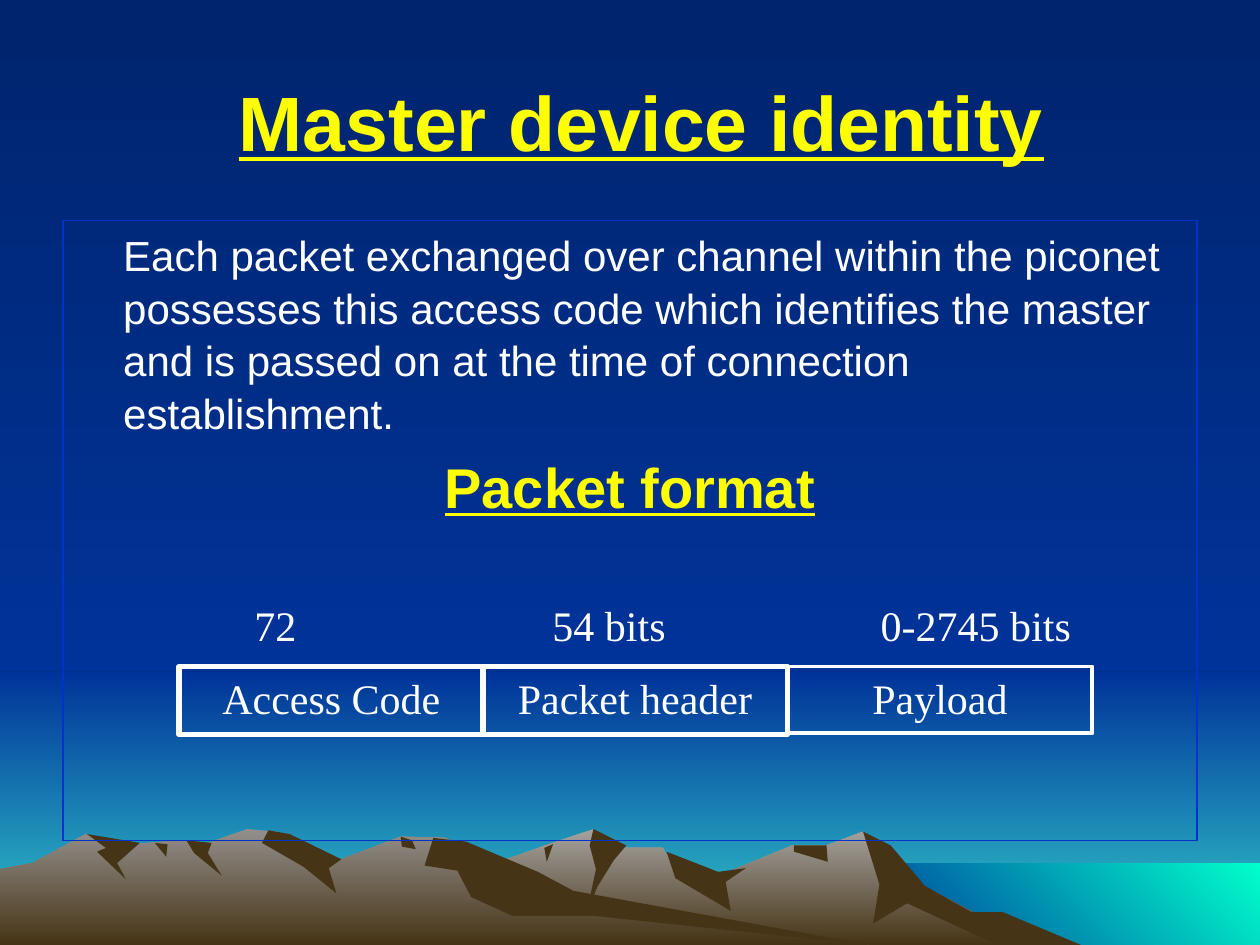
from pptx import Presentation
from pptx.dml.color import RGBColor
from pptx.enum.shapes import MSO_SHAPE
from pptx.enum.text import MSO_ANCHOR, PP_ALIGN
from pptx.util import Emu, Pt

PX = 9144
WIDTH, HEIGHT = 1000, 750
HORIZON = 533
WHITE, YELLOW, EARTH = "FFFFFF", "FFFF00", "463416"
SANS, SERIF = "Arial", "Times New Roman"
NIGHT = ("00246D", "003399", 90)

TITLE = "Master device identity"
EXPLANATION = (
    "Each packet exchanged over channel within the piconet possesses this access code "
    "which identifies the master and is passed on at the time of connection establishment."
)
SUBTITLE = "Packet format"
FIELDS = [("Access Code", 54, 3), ("Packet header", 54, 3), ("Payload", 53, 2.25)]
SIZES = [
    ("72", 192, 125, PP_ALIGN.LEFT),
    ("54 bits ", 400, 175, PP_ALIGN.CENTER),
    ("0-2745 bits", 683, 183, PP_ALIGN.CENTER),
]
FIELD_LEFT, FIELD_TOP, FIELDS_WIDTH, FIELD_WIDTH = 142, 529, 725, 242

BANDS = [
    ((0, HORIZON, WIDTH, HEIGHT - HORIZON), ("003399", "33CCCC", 90)),
    ((0, 0, WIDTH, HORIZON), NIGHT),
    ((683, 685, 317, 67), ("003399", "00FFCC", 315)),
]

RIGHT_RANGE = [
    (258, HEIGHT), (327, 709), (394, 685), (433, 671), (471, 658), (486, 673), (526, 673),
    (536, 690), (566, 697), (629, 671), (656, 671), (685, 660), (723, 698), (821, HEIGHT),
]
LEFT_RANGE = [
    (0, HEIGHT), (0, 690), (26, 685), (68, 662), (94, 671), (143, 667), (160, 671),
    (196, 658), (219, 660), (236, 681), (271, 682), (318, 664), (354, 665), (432, 712),
    (690, HEIGHT),
]
RIGHT_SHADOWS = [
    [(685, 660), (707, 671), (734, 703), (771, 724), (796, 724), (858, HEIGHT),
     (792, HEIGHT), (720, 717), (693, 733), (698, 702)],
    [(471, 658), (497, 671), (487, 683), (474, 704), (465, 727), (473, 690), (468, 671)],
    [(529, 676), (570, 692), (592, 689), (576, 700), (580, 723), (536, 697)],
    [(630, 671), (656, 671), (657, 684), (630, 676)],
    [(432, 673), (439, 670), (434, 684)],
]
LEFT_SHADOWS = [
    [(213, 659), (230, 662), (271, 682), (261, 689), (267, 709), (241, 688), (208, 669)],
    [(344, 665), (370, 668), (427, 692), (455, 707), (690, HEIGHT), (472, 727), (407, 727),
     (374, 712), (363, 691), (337, 687)],
    [(318, 664), (327, 667), (330, 674), (319, 672)],
    [(148, 667), (168, 669), (165, 677), (176, 695), (154, 677)],
    [(123, 669), (133, 670), (132, 680)],
    [(69, 662), (111, 669), (93, 685), (100, 698), (77, 676), (84, 673)],
]
MOUNTAINS = [
    (("A5A29F", EARTH, 90), [RIGHT_RANGE]),
    (EARTH, RIGHT_SHADOWS),
    (("938F8B", EARTH, 90), [LEFT_RANGE]),
    (EARTH, LEFT_SHADOWS),
]


def px(length):
    return Emu(length * PX)


def color(value):
    return RGBColor.from_string(value)


def paint(fill, colors):
    if isinstance(colors, str):
        fill.solid()
        fill.fore_color.rgb = color(colors)
        return
    *ends, angle = colors
    fill.gradient()
    fill.gradient_angle = 360 - angle
    for stop, value in zip(fill.gradient_stops, ends):
        stop.color.rgb = color(value)


def add_rectangle(page, place):
    shape = page.shapes.add_shape(MSO_SHAPE.RECTANGLE, *map(px, place))
    shape.shadow.inherit = False
    return shape


def add_frame(page, place, line, weight):
    shape = add_rectangle(page, place)
    shape.fill.background()
    shape.line.color.rgb = color(line)
    shape.line.width = Pt(weight)
    return shape


def write(para, text, size, font, ink, align=PP_ALIGN.CENTER, strong=False):
    para.alignment = align
    span = para.add_run()
    span.text = text
    span.font.size = Pt(size)
    span.font.name = font
    span.font.color.rgb = color(ink)
    span.font.bold = span.font.underline = strong


def prepare(box, anchor=MSO_ANCHOR.TOP):
    box.text_frame.word_wrap = True
    box.text_frame.vertical_anchor = anchor
    return box.text_frame.paragraphs[0]


def add_slope(page, outline, colors):
    builder = page.shapes.build_freeform(*outline[0], scale=PX)
    builder.add_line_segments(outline[1:], close=True)
    slope = builder.convert_to_shape()
    slope.shadow.inherit = False
    paint(slope.fill, colors)
    slope.line.fill.background()


def add_scenery(page):
    paint(page.background.fill, NIGHT)
    for place, colors in BANDS:
        band = add_rectangle(page, place)
        paint(band.fill, colors)
        band.line.fill.background()
    for colors, outlines in MOUNTAINS:
        for outline in outlines:
            add_slope(page, outline, colors)


def add_body(page):
    body = add_frame(page, (50, 175, 900, 492), "0033CC", 0.75)
    para = prepare(body)
    para.line_spacing = 1.05
    para._p.get_or_add_pPr().set("marL", str(px(38)))
    write(para, EXPLANATION, 24, SANS, WHITE, PP_ALIGN.LEFT)
    para = body.text_frame.add_paragraph()
    para.line_spacing = 1.05
    para.space_before = Pt(6.4)
    write(para, SUBTITLE, 32, SANS, YELLOW, strong=True)


def add_packet(page):
    for index, (name, height, weight) in enumerate(FIELDS):
        left = FIELD_LEFT + FIELDS_WIDTH * index // len(FIELDS)
        field = add_frame(page, (left, FIELD_TOP, FIELD_WIDTH, height), WHITE, weight)
        write(prepare(field), name, 24, SERIF, WHITE)
    for text, left, width, align in SIZES:
        box = page.shapes.add_textbox(*map(px, (left, 471, width, 50)))
        write(prepare(box), text, 24, SERIF, WHITE, align)


def main():
    """Build the packet format slide over a mountain scene."""
    deck = Presentation()
    deck.slide_width, deck.slide_height = px(WIDTH), px(HEIGHT)
    page = deck.slides.add_slide(deck.slide_layouts[6])
    add_scenery(page)
    title = page.shapes.add_textbox(*map(px, (83, 33, 852, 125)))
    write(prepare(title, MSO_ANCHOR.MIDDLE), TITLE, 44, SANS, YELLOW, strong=True)
    add_body(page)
    add_packet(page)
    deck.save("out.pptx")


if __name__ == "__main__":
    main()
